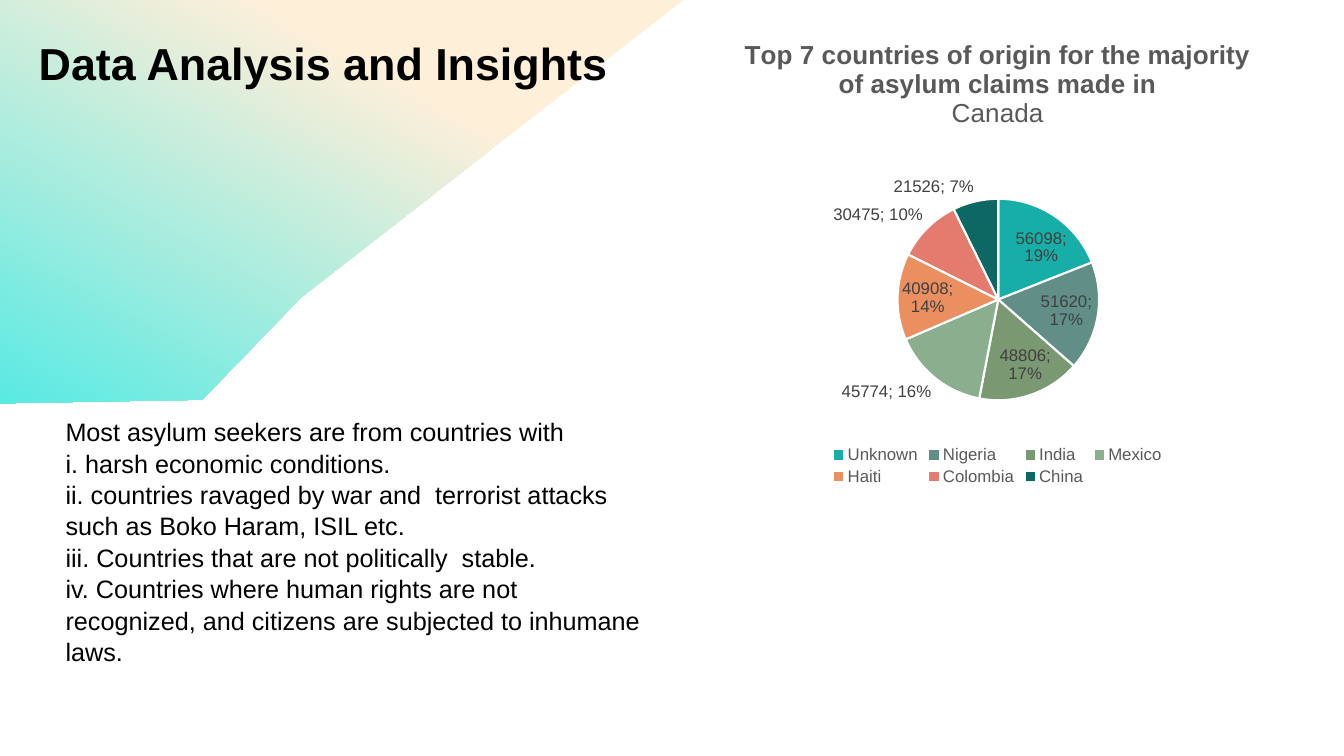
from lxml import etree
from pptx import Presentation
from pptx.chart.data import CategoryChartData
from pptx.dml.color import RGBColor
from pptx.enum.chart import XL_CHART_TYPE as CT, XL_LABEL_POSITION as LP, XL_LEGEND_POSITION as LG
from pptx.enum.text import MSO_ANCHOR, MSO_AUTO_SIZE, PP_ALIGN
from pptx.oxml.ns import qn
from pptx.util import Inches, Pt

BLACK = RGBColor(0x00, 0x00, 0x00)
WHITE = RGBColor(0xFF, 0xFF, 0xFF)
GREY = RGBColor(0x59, 0x59, 0x59)
DARK = RGBColor(0x40, 0x40, 0x40)
CREAM = RGBColor(0xFE, 0xEF, 0xD9)
AQUA = RGBColor(0x58, 0xEA, 0xE3)

COUNTRIES = [
    ("Unknown", 56098, RGBColor(0x16, 0xAE, 0xA7)),
    ("Nigeria", 51620, RGBColor(0x61, 0x8F, 0x88)),
    ("India", 48806, RGBColor(0x7A, 0x99, 0x73)),
    ("Mexico", 45774, RGBColor(0x8A, 0xAE, 0x8E)),
    ("Haiti", 40908, RGBColor(0xEB, 0x8F, 0x60)),
    ("Colombia", 30475, RGBColor(0xE5, 0x7A, 0x6F)),
    ("China", 21526, RGBColor(0x0D, 0x68, 0x64)),
]
REASONS = [
    "Most asylum seekers are from countries with",
    "i. harsh economic conditions.",
    "ii. countries ravaged by war and  terrorist attacks such as Boko Haram, ISIL etc.",
    "iii. Countries that are not politically  stable.",
    "iv. Countries where human rights are not recognized, and citizens are subjected to inhumane laws.",
]


def set_font(font, size, color, bold=False):
    for name, value in {"name": "Arial", "size": Pt(size), "bold": bold}.items():
        setattr(font, name, value)
    font.color.rgb = color


def place(sp, left, top, width, height):
    box = {"left": left, "top": top, "width": width, "height": height}
    for name, value in box.items():
        setattr(sp, name, Inches(value))


prs = Presentation()
prs.slide_width, prs.slide_height = Inches(13.33), Inches(7.5)
slide = prs.slides.add_slide(prs.slide_layouts[1])

# Gradient corner: straight edges, then a rounded tip of cubic curves
curves = [
    [(2.7, 3.35), (2.32, 3.62), (1.89, 3.76), (1.45, 3.78)],
    [(1.45, 3.78), (1.41, 3.78), (1.36, 3.78), (1.32, 3.78)],
    [(1.32, 3.78), (0.88, 3.77), (0.44, 3.64), (0.06, 3.39)],
]
points = [(6.95, 0), (2.75, 3.32), (2.7, 3.35)]
for a, b, c, d in curves:
    for t in [i / 12 for i in range(1, 13)]:
        u = 1 - t
        points.append(tuple(u**3 * a[k] + 3 * u * u * t * b[k] + 3 * u * t * t * c[k] + t**3 * d[k]
                            for k in (0, 1)))
points.append((0, 3.35))
fb = slide.shapes.build_freeform(0, 0, scale=Inches(1))
fb.add_line_segments(points, close=True)
corner = fb.convert_to_shape(Inches(-0.03), Inches(-0.06))
corner.rotation = 359
corner.shadow.inherit = False
corner.line.fill.background()
corner.fill.gradient()
corner.fill.gradient_angle = 240
for stop, (pos, color) in zip(corner.fill.gradient_stops, [(0.32, CREAM), (1, AQUA)]):
    stop.position = pos
    stop.color.rgb = color
slide.shapes._spTree.insert(2, corner._element)

# Title
title = slide.shapes.title
place(title, 0.13, 0.36, 6, 1.15)
tf = title.text_frame
tf.text = "Data Analysis and Insights"
tf.vertical_anchor = MSO_ANCHOR.TOP
tf.auto_size = MSO_AUTO_SIZE.NONE
p = tf.paragraphs[0]
p.alignment, p.line_spacing = PP_ALIGN.RIGHT, 0.9
set_font(p.runs[0].font, 32, BLACK, True)

# Reasons
body = slide.placeholders[1]
place(body, 0.55, 4.07, 5.9, 2.52)
tf = body.text_frame
tf.text = "\n".join(REASONS)
tf.auto_size = MSO_AUTO_SIZE.NONE
for p in tf.paragraphs:
    p.space_before, p.line_spacing = Pt(0), 1.04
    pPr = p._p.get_or_add_pPr()
    pPr.set("marL", "0")
    pPr.set("indent", "0")
    etree.SubElement(pPr, qn("a:buNone"))
    set_font(p.runs[0].font, 18, BLACK)

# Pie chart
data = CategoryChartData()
data.categories = [name for name, _, _ in COUNTRIES]
data.add_series("Series 1", [value for _, value, _ in COUNTRIES])
chart = slide.shapes.add_chart(CT.PIE, Inches(6.67), Inches(0.2), Inches(6.45), Inches(4.66), data).chart
set_font(chart.font, 10, BLACK)

tf = chart.chart_title.text_frame
tf.text = "Top 7 countries of origin for the majority of asylum claims made in\nCanada"
for p, bold in zip(tf.paragraphs, (True, False)):
    set_font(p.runs[0].font, 18.6, GREY, bold)
chart.chart_title.include_in_layout = False

chart.has_legend = True
chart.legend.position = LG.BOTTOM
chart.legend.include_in_layout = False
set_font(chart.legend.font, 12, GREY)

plot = chart.plots[0]
plot.vary_by_categories = True
series = plot.series[0]
for i, (_, _, color) in enumerate(COUNTRIES):
    fmt = series.points[i].format
    fmt.fill.solid()
    fmt.fill.fore_color.rgb = color
    fmt.line.color.rgb = WHITE
    fmt.line.width = Pt(1.5)

labels = series.data_labels
for name, value in {"show_value": True, "show_percentage": True, "position": LP.BEST_FIT}.items():
    setattr(labels, name, value)
set_font(labels.font, 12, DARK)
separator = etree.Element(qn("c:separator"))
separator.text = "; "
labels._element.find(qn("c:showBubbleSize")).addnext(separator)

# Place of the pie inside the chart
area = chart._chartSpace.chart.plotArea
for old in area.findall(qn("c:layout")):
    area.remove(old)
layout = etree.Element(qn("c:layout"))
manual = etree.SubElement(layout, qn("c:manualLayout"))
for tag, value in [("layoutTarget", "inner"), ("xMode", "edge"), ("yMode", "edge"),
                   ("x", "0.346"), ("y", "0.38"), ("w", "0.31"), ("h", "0.43")]:
    etree.SubElement(manual, qn("c:" + tag)).set("val", value)
area.insert(0, layout)

prs.save("out.pptx")
